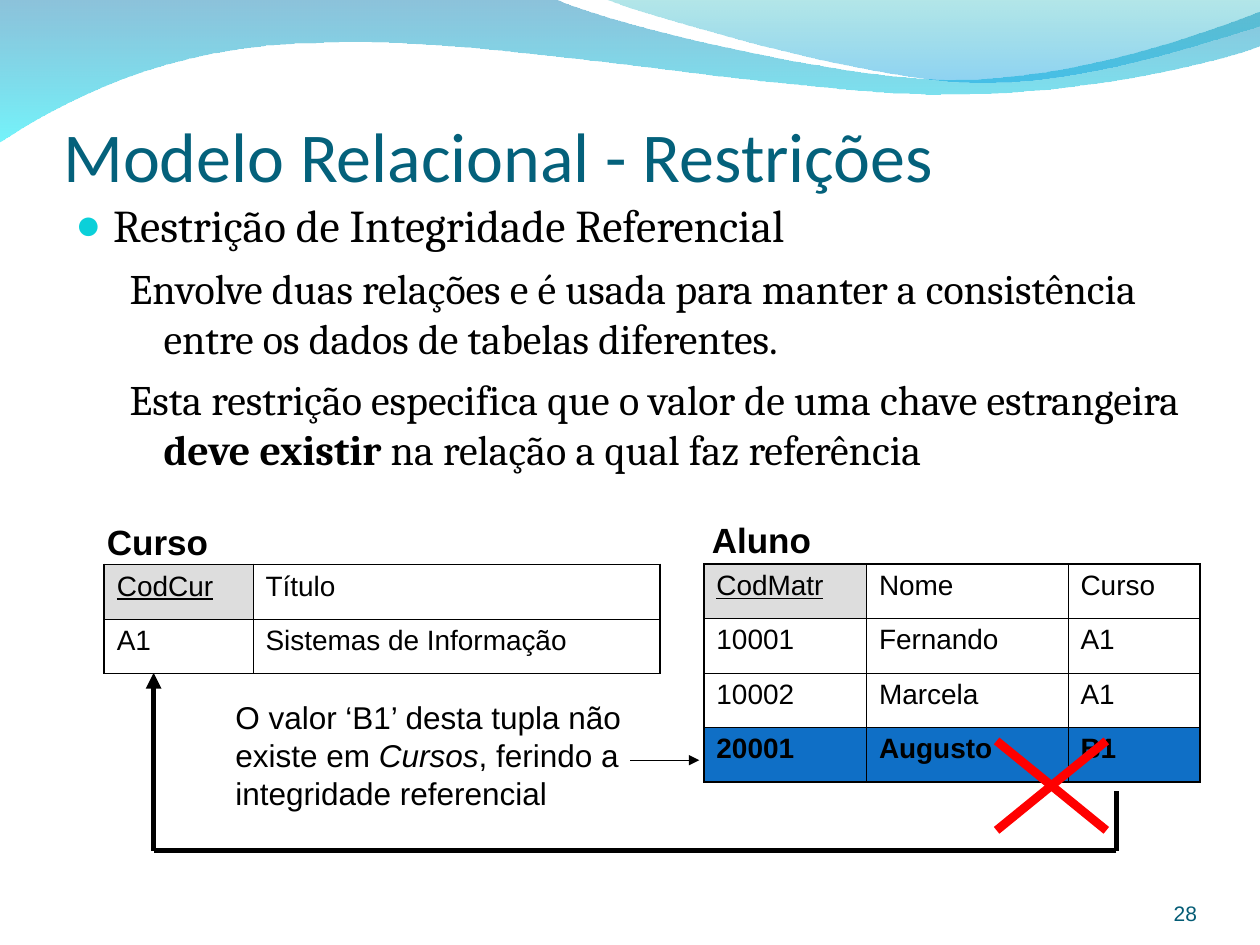
from lxml import etree
from pptx import Presentation
from pptx.dml.color import RGBColor
from pptx.enum.shapes import MSO_CONNECTOR
from pptx.enum.text import MSO_ANCHOR, MSO_AUTO_SIZE, PP_ALIGN
from pptx.oxml.ns import qn
from pptx.util import Pt

STRAIGHT = MSO_CONNECTOR.STRAIGHT
TOP, BOTTOM = MSO_ANCHOR.TOP, MSO_ANCHOR.BOTTOM
LEFT, RIGHT = PP_ALIGN.LEFT, PP_ALIGN.RIGHT
GROW = MSO_AUTO_SIZE.SHAPE_TO_FIT_TEXT

COLORS = {
    "black": "000000", "title": "04617B", "number": "045C75", "bullet": "0BD0D9",
    "key": "DDDDDD", "invalid": "0F6FC6", "cross": "FF0000",
    "wave_top": "0079AF", "wave_bottom": "00EBF8",
    "crest_top": "00ADB6", "crest_bottom": "009BE5",
}
INSETS = (7.2, 3.6, 7.2, 3.6)
ROW_HEIGHT = 31.1
OUTER, INNER = 1.08, 0.45


def rgb(name):
    return RGBColor.from_string(COLORS[name])


def add_element(parent, tag, **attributes):
    return etree.SubElement(parent, qn(tag), attributes)


def set_font(font, color="black", **values):
    font.color.rgb = rgb(color)
    for name, value in values.items():
        setattr(font, name, value)


def add_spans(para, spans, **font):
    """Fill a paragraph from (text, extra font values) pairs."""
    for text, extra in spans:
        span = para.add_run()
        span.text = text
        set_font(span.font, **{**font, **extra})


def add_text(page, area, spans, insets=INSETS, anchor=TOP, align=LEFT, wrap=True, **font):
    box = page.shapes.add_textbox(*map(Pt, area))
    frame = box.text_frame
    frame.word_wrap = wrap
    if not wrap:
        frame.auto_size = GROW
    frame.vertical_anchor = anchor
    for side, inset in zip(("left", "top", "right", "bottom"), insets):
        setattr(frame, f"margin_{side}", Pt(inset))
    para = frame.paragraphs[0]
    para.alignment = align
    add_spans(para, spans, **font)
    return frame


def set_indent(para, margin, hanging):
    properties = para._p.get_or_add_pPr()
    properties.set("marL", str(Pt(margin)))
    properties.set("indent", str(-Pt(hanging)))
    return properties


def add_body(page):
    frame = add_text(page, (36, 109, 648, 195),
                     [("Restrição de Integridade Referencial", {})],
                     name="Cambria", size=Pt(26))
    properties = set_indent(frame.paragraphs[0], 21.6, 21.6)
    color = add_element(properties, "a:buClr")
    add_element(color, "a:srgbClr", val=COLORS["bullet"])
    add_element(properties, "a:buSzPct", val="95000")
    add_element(properties, "a:buFont", typeface="Arial")
    add_element(properties, "a:buChar", char="●")
    details = [
        [("Envolve duas relações e é usada para manter a consistência "
          "entre os dados de tabelas diferentes.", {})],
        [("Esta restrição especifica que o valor de uma chave estrangeira ", {}),
         ("deve existir", {"bold": True}),
         (" na relação a qual faz referência", {})],
    ]
    for spans in details:
        para = frame.add_paragraph()
        para.level = 1
        para.space_before = Pt(6)
        add_element(set_indent(para, 50.4, 19.4), "a:buNone")
        add_spans(para, spans, name="Cambria", size=Pt(24))


def add_wave(page, segments, stops):
    """Outline of line ends (one point) and curves (two controls and an end)."""
    points = [(Pt(x), Pt(y)) for segment in segments for x, y in segment]
    builder = page.shapes.build_freeform(*points[0])
    builder.add_line_segments(points[1:], close=True)
    wave = builder.convert_to_shape()
    # Join the three points of each curve into one Bezier command
    corners = iter(list(wave._element.iter(qn("a:lnTo"))))
    for segment in segments[1:]:
        commands = [next(corners) for point in segment]
        if len(commands) == 3:
            curve = etree.Element(qn("a:cubicBezTo"))
            commands[0].addprevious(curve)
            for command in commands:
                curve.append(command[0])
                command.getparent().remove(command)
    wave.shadow.inherit = False
    wave.line.fill.background()
    wave.fill.gradient()
    wave.fill.gradient_angle = 270
    for stop, (color, opacity) in zip(wave.fill.gradient_stops, stops):
        stop.color.rgb = rgb(color)
    for element, (color, opacity) in zip(wave._element.spPr.iter(qn("a:srgbClr")), stops):
        add_element(element, "a:alpha", val=str(opacity * 1000))


def set_borders(cell, widths):
    properties = cell._tc.get_or_add_tcPr()
    for index, (side, width) in enumerate(zip("LRTB", widths)):
        line = etree.Element(qn(f"a:ln{side}"), w=str(Pt(width)))
        fill = add_element(line, "a:solidFill")
        add_element(fill, "a:srgbClr", val=COLORS["black"])
        properties.insert(index, line)


def add_relation(page, left, top, widths, rows, invalid_row=None):
    """Table with an underlined key, thick outer and thin inner borders."""
    table = page.shapes.add_table(len(rows), len(widths), Pt(left), Pt(top),
                                  Pt(sum(widths)), Pt(ROW_HEIGHT * len(rows))).table
    table.first_row = table.horz_banding = False
    for column, width in zip(table.columns, widths):
        column.width = Pt(width)
    for r, values in enumerate(rows):
        table.rows[r].height = Pt(ROW_HEIGHT)
        for c, value in enumerate(values):
            cell = table.cell(r, c)
            is_key, is_invalid = r == c == 0, r == invalid_row
            if is_key or is_invalid:
                cell.fill.solid()
                cell.fill.fore_color.rgb = rgb("key" if is_key else "invalid")
            else:
                cell.fill.background()
            edges = (c == 0, c == len(widths) - 1, r == 0, r == len(rows) - 1)
            set_borders(cell, [OUTER if edge else INNER for edge in edges])
            add_spans(cell.text_frame.paragraphs[0], [(value, {})], name="Arial",
                      size=Pt(16), bold=is_invalid, underline=is_key)


def add_line(parent, start, end, width, color="black", arrow=False):
    line = parent.shapes.add_connector(STRAIGHT, *map(Pt, (*start, *end)))
    line.line.color.rgb = rgb(color)
    line.line.width = Pt(width)
    if arrow:
        add_element(line.line._get_or_add_ln(), "a:tailEnd", type="triangle")
    add_element(line._element.spPr, "a:effectLst")


def main():
    deck = Presentation()
    deck.slide_width, deck.slide_height = Pt(720), Pt(540)
    page = deck.slides.add_slide(deck.slide_layouts[6])

    # Waves along the top
    add_wave(page, [
        [(0, -0.7)], [(316.8, -0.7)],
        [(342.7, 12.2), (478.1, 45.4), (545.8, 45.4)],
        [(614.2, 45.4), (689.8, 18.7), (720, 6.5)],
        [(720.7, 25.9)],
        [(707.8, 31.7), (626.4, 54.7), (537.1, 54)],
        [(447.8, 54), (275, 20.2), (185, 24.5)],
        [(92.9, 25.2), (33.1, 59.8), (-0.7, 81.4)],
    ], [("wave_top", 45), ("wave_bottom", 55)])
    add_wave(page, [
        [(344.9, -0.7)],
        [(366.5, 7.9), (491, 44.6), (553.7, 46.8)],
        [(616.3, 49.7), (691.9, 23), (720, 15.1)],
        [(720, 0)],
    ], [("crest_top", 30), ("crest_bottom", 45)])

    # Title, body and page number
    add_text(page, (36.2, 55.4, 648, 56.9), [("Modelo Relacional - Restrições", {})],
             insets=(0, 3.6, 0, 0), anchor=BOTTOM, name="Calibri", size=Pt(40), color="title")
    add_body(page)
    add_text(page, (624.2, 500.4, 59.8, 28.8), [("28", {})], insets=(0, 0, 0, 0),
             anchor=BOTTOM, align=RIGHT, name="Arial", size=Pt(12), color="number")

    # Relations and their names
    add_relation(page, 402.2, 322.3, (92.9, 115.2, 75.6), [
        ("CodMatr", "Nome", "Curso"), ("10001", "Fernando", "A1"),
        ("10002", "Marcela", "A1"), ("20001", "Augusto", "B1")], invalid_row=3)
    add_relation(page, 59.6, 322.6, (85, 232.6), [
        ("CodCur", "Título"), ("A1", "Sistemas de Informação")])
    for name, left, top in (("Curso", 54, 293.8), ("Aluno", 399.7, 292.6)):
        add_text(page, (left, top, 72.5, 31.7), [(name, {})], wrap=False,
                 name="Arial", size=Pt(20), bold=True)

    # Remark on the invalid row
    add_line(page, (360, 434.4), (399.6, 434.4), 0.75, arrow=True)
    add_text(page, (127.4, 395.6, 238.3, 72), [
        ("O valor ‘B1’ desta tupla não existe em ", {}), ("Cursos", {"italic": True}),
        (", ferindo a integridade referencial", {})], name="Arial", size=Pt(18))

    # Reference from Aluno back to Curso
    reference = page.shapes.add_group_shape()
    start, end = (637.9, 486.2), (87.8, 486.2)
    add_line(reference, start, end, 3)
    add_line(reference, start, (637.9, 452.2), 3)
    add_line(reference, end, (87.8, 384.5), 3, arrow=True)

    # Cross over the broken reference
    cross = page.shapes.add_group_shape()
    for left, right in ((569.5, 632.2), (632.2, 569.5)):
        add_line(cross, (left, 423.4), (right, 474.5), 5, "cross")

    deck.save("out.pptx")


if __name__ == "__main__":
    main()
